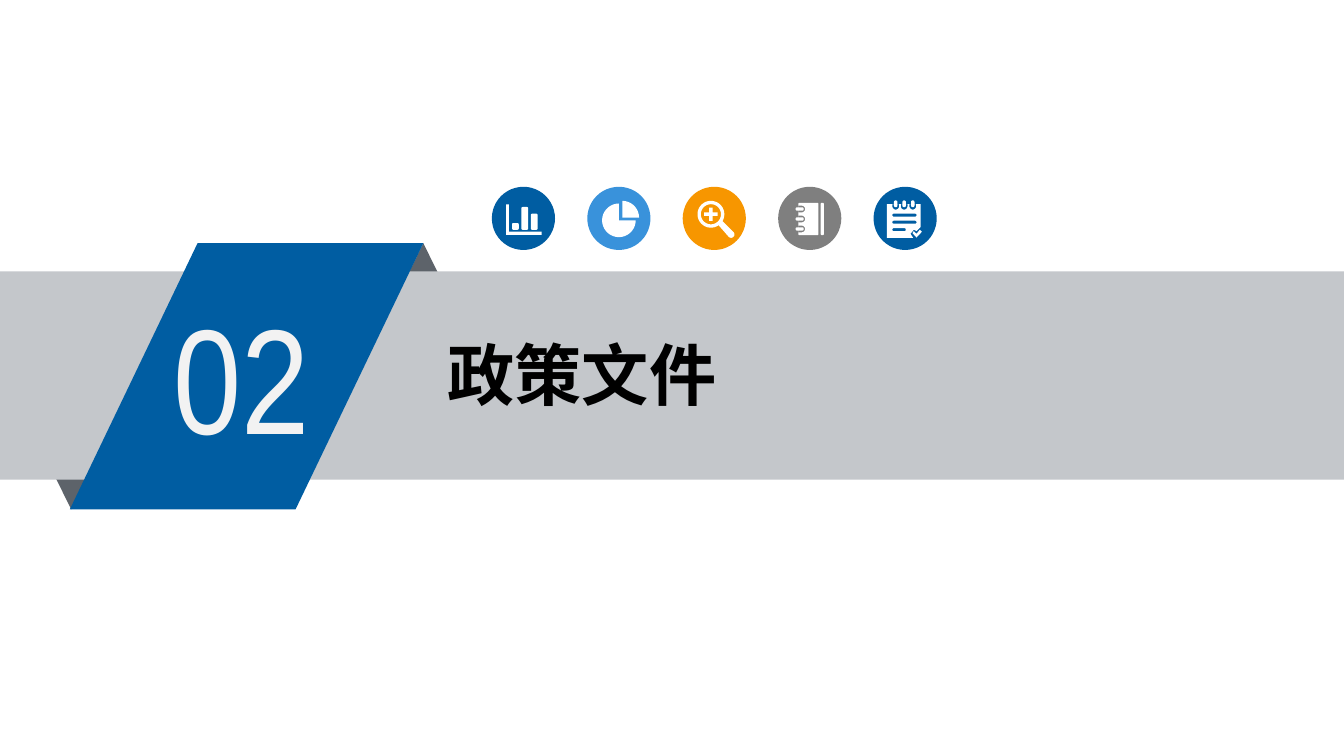
"""Build the section-divider slide for part 02 with a ribbon banner and five icon badges."""
from dataclasses import dataclass
from math import cos, radians, sin

from lxml.etree import SubElement
from pptx import Presentation
from pptx.dml.color import RGBColor
from pptx.enum.shapes import MSO_SHAPE
from pptx.oxml.ns import qn
from pptx.util import Inches, Pt


@dataclass(frozen=True)
class Theme:
    blue: str = "005DA2"
    sky: str = "3992DB"
    orange: str = "F79600"
    gray: str = "7F7F7F"
    band: str = "C4C7CB"
    fold: str = "5D636A"
    white: str = "FFFFFF"
    number: str = "F2F2F2"
    title: str = "000000"
    number_font: str = "Arial Narrow"
    title_font: str = "Noto Sans CJK SC"
    number_size: int = 80
    title_size: int = 36


THEME = Theme()
PAGE_WIDTH = 10
PAGE_HEIGHT = PAGE_WIDTH * 9 / 16
SECTION_NUMBER = "02"
SECTION_TITLE = "政策文件"
BADGES = [
    ("bar chart", THEME.blue),
    ("pie chart", THEME.sky),
    ("magnifier", THEME.orange),
    ("notebook", THEME.gray),
    ("notepad", THEME.blue),
]
BADGE_LEFT, BADGE_TOP, BADGE_SIZE, BADGE_PITCH = 3.66, 1.39, 0.47, 0.71
RIBBON = [
    (MSO_SHAPE.ISOSCELES_TRIANGLE, (2.7, 1.81, 0.9, 0.91), THEME.fold, 0),
    (MSO_SHAPE.ISOSCELES_TRIANGLE, (0.08, 2.88, 0.9, 0.91), THEME.fold, 180),
    (MSO_SHAPE.RECTANGLE, (0, 2.02, PAGE_WIDTH, 1.55), THEME.band, 0),
    (MSO_SHAPE.PARALLELOGRAM, (0.52, 1.81, 2.63, 1.98), THEME.blue, 0),
]


def arc(x, y, radius, start, end):
    steps = max(8, abs(end - start) // 10)
    angles = [radians(start + (end - start) * step / steps) for step in range(steps + 1)]
    return [(x + radius * cos(angle), y + radius * sin(angle)) for angle in angles]


def rounded(x, y, width, height, radius=1):
    corners = [
        (x + width - radius, y + radius, -90),
        (x + width - radius, y + height - radius, 0),
        (x + radius, y + height - radius, 90),
        (x + radius, y + radius, 180),
    ]
    return [point for cx, cy, start in corners for point in arc(cx, cy, radius, start, start + 90)]


def bar_chart():
    axes = [(-13, -10.5), (-10.8, -10.5), (-10.8, 9.8), (13.5, 9.8), (13.5, 12.3), (-13, 12.3)]
    bars = [(-8.5, 5), (-1.5, 17), (5.5, 12)]
    return [axes] + [rounded(x, 8.5 - height, 5, height) for x, height in bars]


def pie_chart():
    return [
        [(2.5, -0.5)] + arc(2.5, -0.5, 12.5, -90, 0),
        [(0, 1.5)] + arc(0, 1.5, 12.5, 0, 270),
    ]


def magnifier():
    x, y, arm, half = -2.5, -3, 5, 1.3
    plus = [
        (-half, -arm), (half, -arm), (half, -half), (arm, -half), (arm, half), (half, half),
        (half, arm), (-half, arm), (-half, half), (-arm, half), (-arm, -half), (-half, -half),
    ]
    return [
        arc(x, y, 10, 55, 391) + arc(12.5, 12, 2.5, -45, 135),
        arc(x, y, 7.5, 0, 360),
        [(x + dx, y + dy) for dx, dy in plus],
    ]


def notebook():
    outlines = [rounded(-8.5, -11.5, 15, 24, 0.8), rounded(8.2, -11.5, 2.3, 24, 0.8)]
    for y in (-6.9, 0.5, 7.9):
        outlines.append([(-8.5, y - 2.5)] + arc(-6, y, 2.5, -90, 90) + [(-8.5, y + 2.5)])
        outlines.append(rounded(-10.5, y - 1.2, 6, 2.4))
    return outlines


def notepad():
    paper = [
        (-13.5, -10.5), (11.5, -10.5), (11.5, 6.5), (8.5, 9.5),
        (6.5, 8.5), (4, 11.5), (6, 14.5), (-13.5, 14.5),
    ]
    check = [(6.5, 9.5), (8.5, 11.5), (11, 8.5), (12.5, 10), (8.5, 14.3), (5.5, 11)]
    lines = [(-3.5, 18), (1.8, 18), (7.3, 10)]
    outlines = [paper, check] + [rounded(-9.5, y, width, 2.2) for y, width in lines]
    for x in (-7, -0.7, 5.7):
        outlines.append([(x + 2.5, -10.5)] + arc(x, -9, 2.5, 0, 180) + [(x - 2.5, -10.5)])
        outlines.append(rounded(x - 1.3, -13.3, 2.6, 5, 1.2))
    return outlines


ICONS = {
    "bar chart": bar_chart,
    "pie chart": pie_chart,
    "magnifier": magnifier,
    "notebook": notebook,
    "notepad": notepad,
}


def paint(shape, color):
    shape.shadow.inherit = False
    shape.fill.solid()
    shape.fill.fore_color.rgb = RGBColor.from_string(color)
    shape.line.fill.background()


def add_block(page, kind, box, color, rotation=0):
    shape = page.shapes.add_shape(kind, *map(Inches, box))
    paint(shape, color)
    shape.rotation = rotation
    return shape


def add_icon(page, outlines, center_x, center_y):
    placed = [
        [(Inches(center_x + x / 100), Inches(center_y + y / 100)) for x, y in outline]
        for outline in outlines
    ]
    builder = page.shapes.build_freeform(*placed[0][0])
    for index, outline in enumerate(placed):
        if index:
            builder.move_to(*outline[0])
        builder.add_line_segments(outline[1:], close=True)
    paint(builder.convert_to_shape(), THEME.white)


def add_text(page, box, text, font, size, color, bold=False):
    frame = page.shapes.add_textbox(*map(Inches, box)).text_frame
    frame.word_wrap = True
    frame.margin_left = frame.margin_right = Inches(0.07)
    frame.margin_top = frame.margin_bottom = Inches(0.04)
    span = frame.paragraphs[0].add_run()
    span.text = text
    span.font.name = font
    span.font.size = Pt(size)
    span.font.bold = bold
    span.font.color.rgb = RGBColor.from_string(color)
    SubElement(span.font._element, qn("a:ea")).set("typeface", font)


def main():
    deck = Presentation()
    deck.slide_width, deck.slide_height = Inches(PAGE_WIDTH), Inches(PAGE_HEIGHT)
    page = deck.slides.add_slide(deck.slide_layouts[6])
    for kind, box, color, rotation in RIBBON:
        shape = add_block(page, kind, box, color, rotation)
    shape.adjustments[0] = 0.48
    add_text(page, (1.22, 2.08, 1.45, 1.42), SECTION_NUMBER,
             THEME.number_font, THEME.number_size, THEME.number)
    for index, (name, color) in enumerate(BADGES):
        left = BADGE_LEFT + index * BADGE_PITCH
        add_block(page, MSO_SHAPE.OVAL, (left, BADGE_TOP, BADGE_SIZE, BADGE_SIZE), color)
        add_icon(page, ICONS[name](), left + BADGE_SIZE / 2, BADGE_TOP + BADGE_SIZE / 2)
    add_text(page, (3.26, 2.44, 5.52, 0.68), SECTION_TITLE,
             THEME.title_font, THEME.title_size, THEME.title, bold=True)
    deck.save("out.pptx")


if __name__ == "__main__":
    main()
